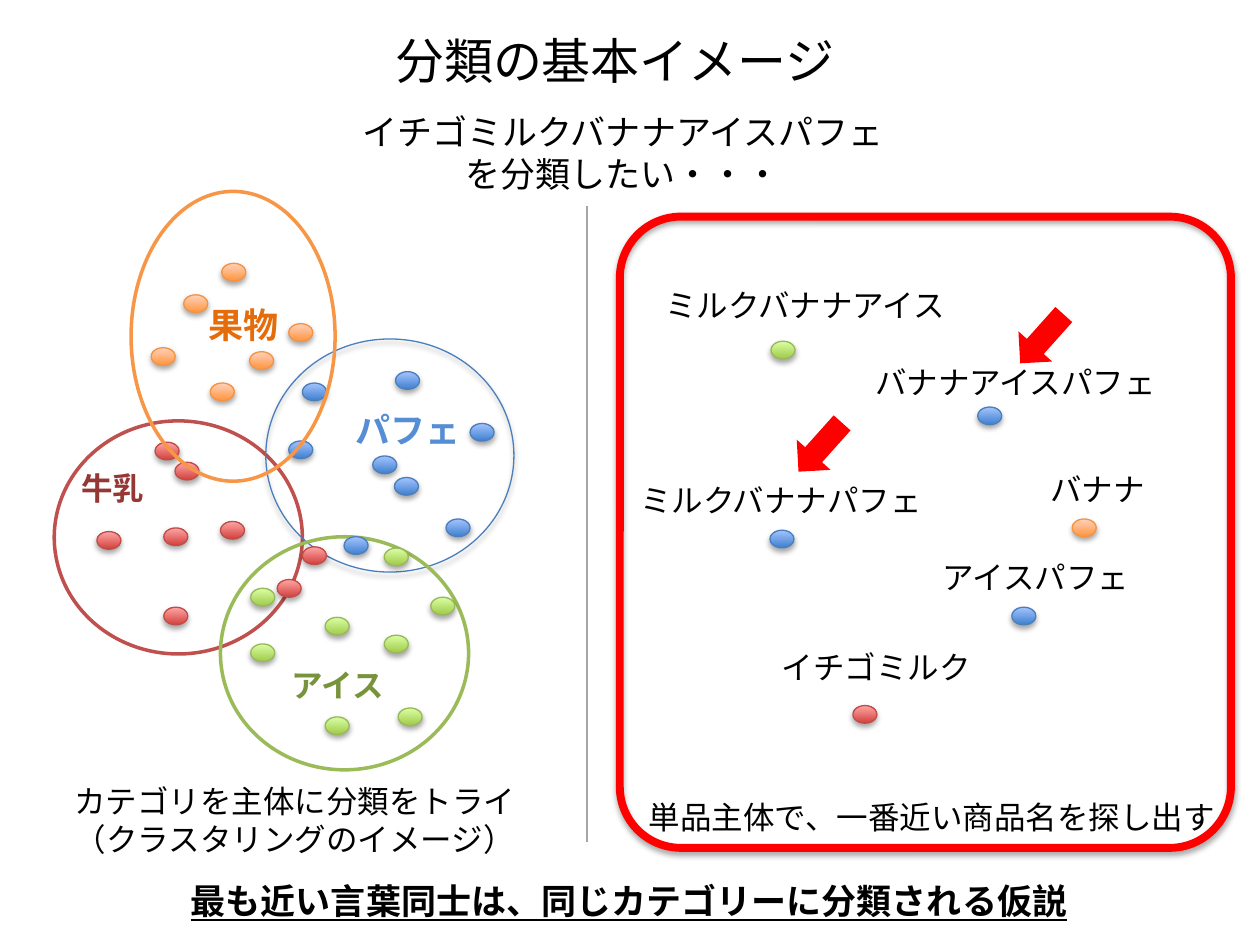
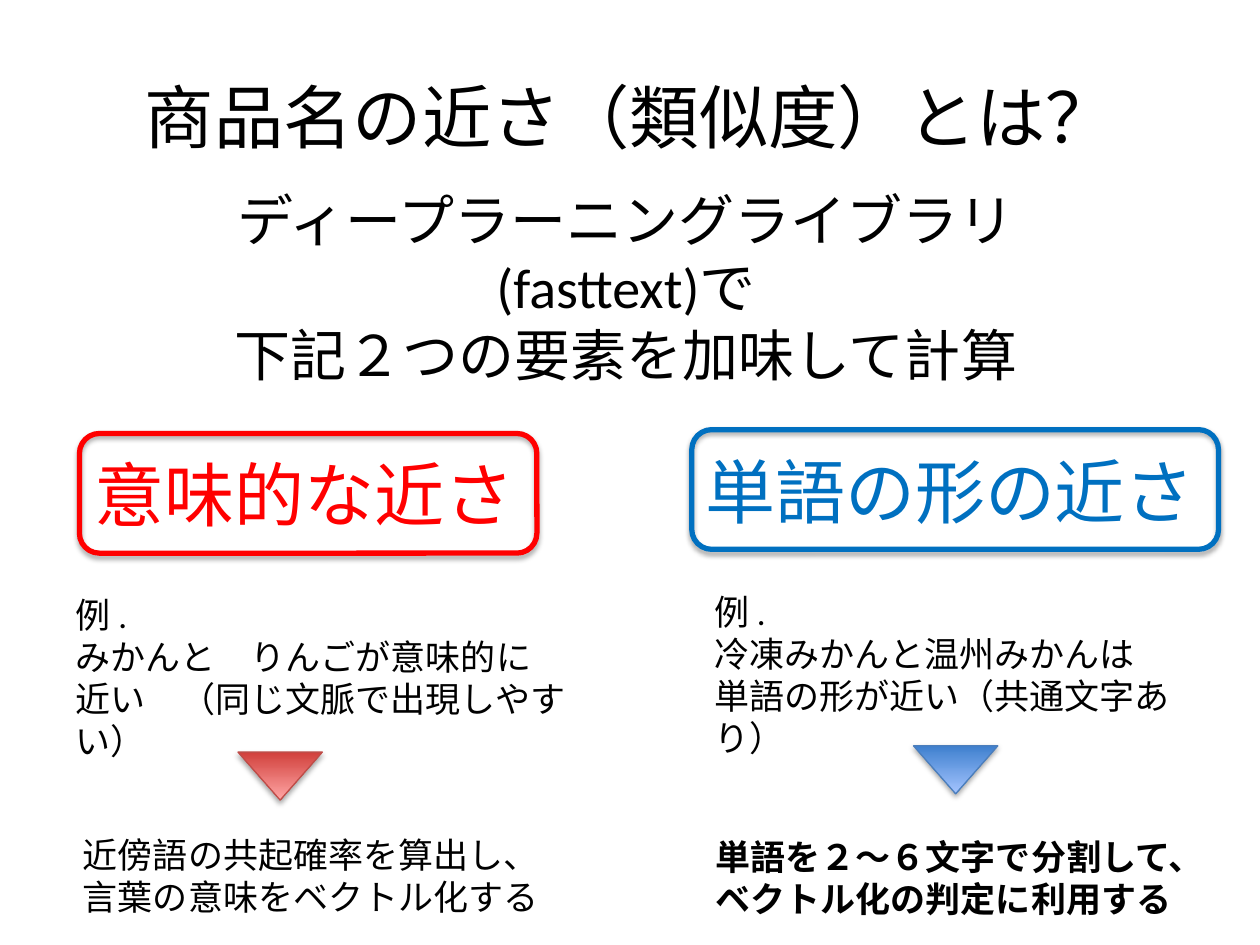
from lxml.etree import SubElement
from pptx import Presentation
from pptx.dml.color import RGBColor
from pptx.enum.shapes import MSO_CONNECTOR, MSO_SHAPE
from pptx.enum.text import MSO_ANCHOR, MSO_AUTO_SIZE, PP_ALIGN
from pptx.oxml.ns import qn
from pptx.util import Pt

BODY_FONT, CJK_FONT = "Calibri", "Noto Sans CJK JP"
BLACK, RED, BLUE = "000000", "FF0000", "0070C0"

GLOSS = {
    "milk": ("D1403C", "FFA6A5", "BF4C48"),
    "parfait": ("3F80CE", "A4C4FF", "4B7EBC"),
    "ice": ("A0CA4A", "DAFFA5", "98B955"),
    "fruit": ("FF953E", "FFD2BD", "F69240"),
}
DOTS = {
    "milk": [(88.6, 252.7), (100, 264.2), (93.6, 347), (158.4, 331.2), (172.8, 312.5),
             (55.4, 303.8), (126, 298), (93.6, 301.7)],
    "parfait": [(213, 260.6), (225.4, 272.9), (254.9, 296.6), (268.6, 242), (172.8, 218.9),
                (165, 252), (196.6, 306.7), (226, 212.4)],
    "ice": [(143.3, 368), (143.3, 336.2), (219.6, 313.2), (219.6, 363), (185.8, 409.7),
            (185.8, 352.8), (227.5, 404.6), (246.2, 341.3)],
    "fruit": [(120.2, 218.9), (142.6, 201), (86.4, 198.7), (105, 168.5), (165, 185),
              (126.7, 150.5)],
}
CATEGORIES = [
    ("パフェ", 195.8, 229.7, 75, 20, "558ED5"),
    ("牛乳", 38.9, 264.2, 51, 18, "953735"),
    ("アイス", 158.4, 377.3, 69, 18, "77933C"),
    ("果物", 111.6, 169.9, 55, 20, "E46C0A"),
]
PRODUCTS = [
    ("ミルクバナナアイス", 371.5, 159.8, "ice", 440.6, 195),
    ("バナナアイスパフェ", 491.8, 203.8, "parfait", 558.7, 232.6),
    ("ミルクバナナパフェ", 357.8, 271.4, "parfait", 440, 303),
    ("バナナ", 592.6, 265, "fruit", 612.7, 296.6),
    ("アイスパフェ", 530.6, 315.4, "parfait", 578.2, 347),
    ("イチゴミルク", 439.2, 366.5, "milk", 487.4, 403.2),
]


def rgb(hex_code):
    return RGBColor.from_string(hex_code)


def add_text(s, lines, x, y, w, h, size, color=BLACK, font=BODY_FONT, bold=False,
             underline=False, align=PP_ALIGN.CENTER, anchor=MSO_ANCHOR.TOP, wrap=True):
    sp = s.shapes.add_textbox(Pt(x), Pt(y), Pt(w), Pt(h))
    tf = sp.text_frame
    tf.word_wrap = wrap
    tf.vertical_anchor = anchor
    if anchor == MSO_ANCHOR.TOP:
        tf.auto_size = MSO_AUTO_SIZE.SHAPE_TO_FIT_TEXT
    for i, line in enumerate(lines):
        p = tf.add_paragraph() if i else tf.paragraphs[0]
        p.alignment = align
        r = p.add_run()
        r.text = line
        r.font.name = font
        r.font.size = Pt(size)
        r.font.bold = bold
        r.font.underline = underline
        r.font.color.rgb = rgb(color)
        SubElement(r.font._element, qn("a:ea"), typeface=CJK_FONT)


def add_heading(s, text, x, y, w, h, size, color=BLACK):
    add_text(s, text.split("\n"), x, y, w, h, size, color, anchor=MSO_ANCHOR.MIDDLE)


def add_label(s, text, x, y, w, h=29, size=18, **style):
    add_text(s, text.split("\n"), x, y, w, h, size, font=CJK_FONT, wrap=False, **style)


def add_shadow(sp):
    effects = sp.element.spPr.find(qn("a:effectLst"))
    shadow = SubElement(effects, qn("a:outerShdw"), blurRad=str(Pt(3.1)), dist=str(Pt(1.8)),
                        dir="5400000", rotWithShape="0")
    tint = SubElement(shadow, qn("a:srgbClr"), val=BLACK)
    SubElement(tint, qn("a:alpha"), val="35000")


def add_shape(s, kind, x, y, w, h, fill=None, line=None, weight=0.75, shadow=False, rotation=0):
    sp = s.shapes.add_shape(kind, Pt(x), Pt(y), Pt(w), Pt(h))
    sp.rotation = rotation
    sp.shadow.inherit = False
    if fill:
        sp.fill.solid()
        sp.fill.fore_color.rgb = rgb(fill)
    else:
        sp.fill.background()
    if line:
        sp.line.color.rgb = rgb(line)
        sp.line.width = Pt(weight)
    else:
        sp.line.fill.background()
    if shadow:
        add_shadow(sp)
    return sp


def add_glossy(s, kind, category, x, y, w, h, rotation=0):
    dark, light, line = GLOSS[category]
    sp = add_shape(s, kind, x, y, w, h, line=line, shadow=True, rotation=rotation)
    sp.fill.gradient()
    sp.fill.gradient_angle = 90
    for stop, color, position in zip(sp.fill.gradient_stops, (dark, light), (0, 1)):
        stop.color.rgb = rgb(color)
        stop.position = position


def add_dot(s, category, x, y):
    add_glossy(s, MSO_SHAPE.OVAL, category, x, y, 13.7, 10.1)


def add_divider(s, x, top, bottom):
    line = s.shapes.add_connector(MSO_CONNECTOR.STRAIGHT, Pt(x), Pt(top), Pt(x), Pt(bottom))
    line.line.color.rgb = rgb("A6A6A6")
    line.line.width = Pt(0.75)
    SubElement(line.element.spPr, qn("a:effectLst"))


def add_clusters(s):
    circle = 141.8, 133.2
    add_shape(s, MSO_SHAPE.OVAL, 31, 240.5, *circle, fill="FFFFFF", line="C0504D", weight=2)
    add_shape(s, MSO_SHAPE.OVAL, 151.9, 193.7, *circle, line="4B7EBC", shadow=True)
    add_shape(s, MSO_SHAPE.OVAL, 126, 306.7, *circle, line="9BBB59", weight=2)
    for category, places in DOTS.items():
        for x, y in places:
            add_dot(s, category, x, y)
    add_shape(s, MSO_SHAPE.OVAL, 74.9, 109.4, 116.6, 165.6, line="F79646", weight=2)
    for text, x, y, w, size, color in CATEGORIES:
        add_label(s, text, x, y, w, size=size, color=color, bold=True)
    add_label(s, "カテゴリを主体に分類をトライ\n（クラスタリングのイメージ）", 33.8, 443.5, 269.3, 51)


def add_products(s):
    for text, x, y, category, dot_x, dot_y in PRODUCTS:
        add_label(s, text, x, y, 18 * len(text) + 15)
        add_dot(s, category, dot_x, dot_y)
    add_label(s, "単品主体で、一番近い商品名を探し出す", 361.4, 452.2, 342)
    for x, y in [(582.5, 175), (455.8, 236.9)]:
        add_shape(s, MSO_SHAPE.DOWN_ARROW, x, y, 25.9, 37.4, fill=RED, rotation=41.8)
    frame = add_shape(s, MSO_SHAPE.ROUNDED_RECTANGLE, 354.2, 123.8, 349.2, 360.7,
                      line=RED, weight=4.5, shadow=True)
    frame.adjustments[0] = 0.1


def build_classification(s):
    add_heading(s, "分類の基本イメージ", 27.4, 9.4, 648, 49.7, 28)
    add_label(s, "イチゴミルクバナナアイスパフェ\nを分類したい・・・", 197.3, 59.8, 317.5, 55.4, size=20)
    add_divider(s, 335.5, 118, 481)
    add_clusters(s)
    add_products(s)
    add_label(s, "最も近い言葉同士は、同じカテゴリーに分類される仮説", 100, 499, 519, 31.7,
              size=20, bold=True, underline=True)


def add_closeness(s, heading, color, category, heading_box, frame_box, example, example_at,
                  triangle_at, method, method_box, bold=False):
    add_heading(s, heading, *heading_box, 40, color)
    add_shape(s, MSO_SHAPE.ROUNDED_RECTANGLE, *frame_box, line=color, weight=3, shadow=True)
    add_glossy(s, MSO_SHAPE.ISOSCELES_TRIANGLE, category, *triangle_at, 48.2, 27.4, rotation=180)
    add_text(s, example, *example_at, 297.4, 80, 20, align=PP_ALIGN.LEFT)
    add_text(s, method, *method_box, 55.4, 20, bold=bold, align=PP_ALIGN.LEFT)


def build_similarity(s):
    add_heading(s, "商品名の近さ（類似度）とは？", 36, 43.9, 648, 44.6, 39.6)
    add_heading(s, "ディープラーニングライブラリ(fasttext)で\n下記２つの要素を加味して計算",
                82, 128.9, 551.5, 69.8, 32)
    add_closeness(
        s, "意味的な近さ", RED, "milk", (41.8, 257, 264.2, 49.7), (45.4, 247.7, 261.4, 68.4),
        ["例 .", "みかんと　りんごが意味的に", "近い　（同じ文脈で出現しやすい）"], (36, 335.5),
        (136, 429.8), ["近傍語の共起確率を算出し、", "言葉の意味をベクトル化する"], (40.3, 473, 297.4))
    add_closeness(
        s, "単語の形の近さ", BLUE, "parfait", (388.8, 255.6, 308.2, 49.7),
        (395.3, 245.5, 301, 68.4),
        ["例 .", "冷凍みかんと温州みかんは", "単語の形が近い（共通文字あり）"], (401, 334),
        (522, 426.2), ["単語を２～６文字で分割して、", "ベクトル化の判定に利用する"],
        (401.8, 473.8, 280.8), bold=True)


def main():
    prs = Presentation()
    prs.slide_width, prs.slide_height = Pt(720), Pt(540)
    for build in (build_classification, build_similarity):
        build(prs.slides.add_slide(prs.slide_layouts[6]))
    prs.save("out.pptx")


if __name__ == "__main__":
    main()
